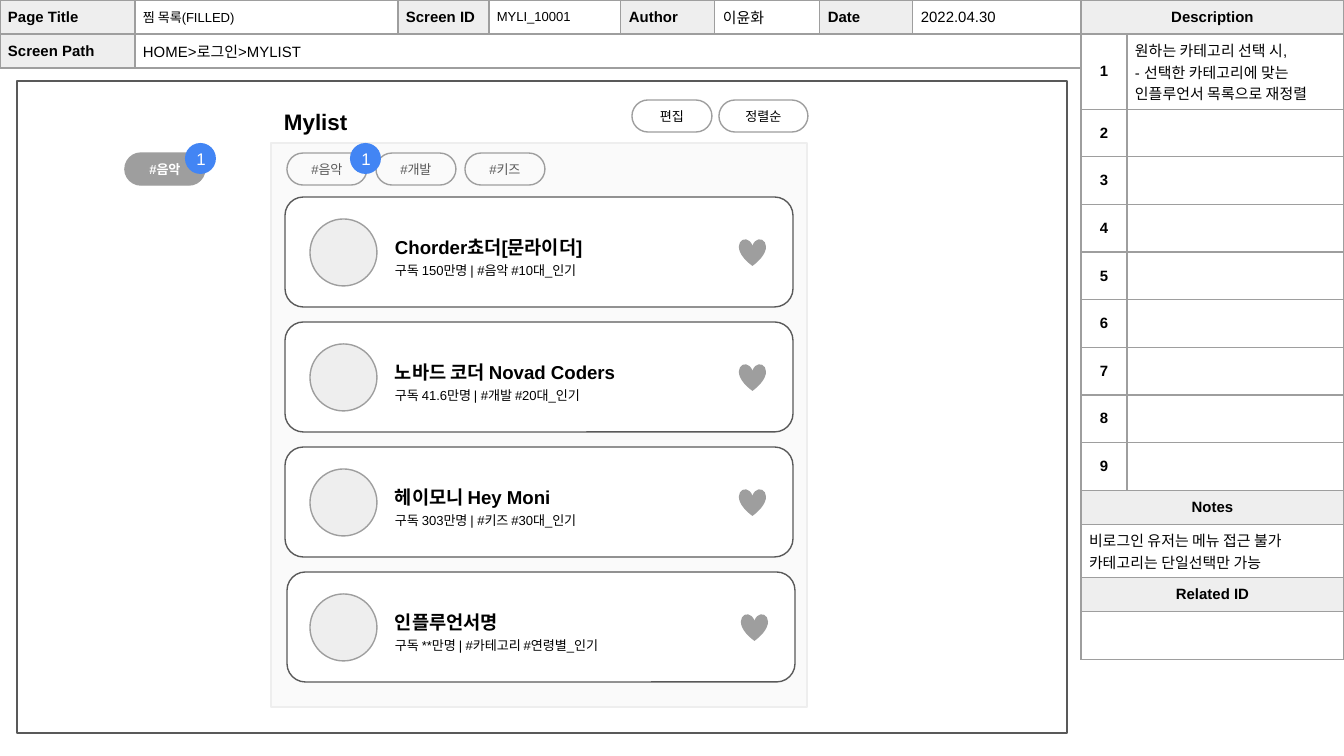
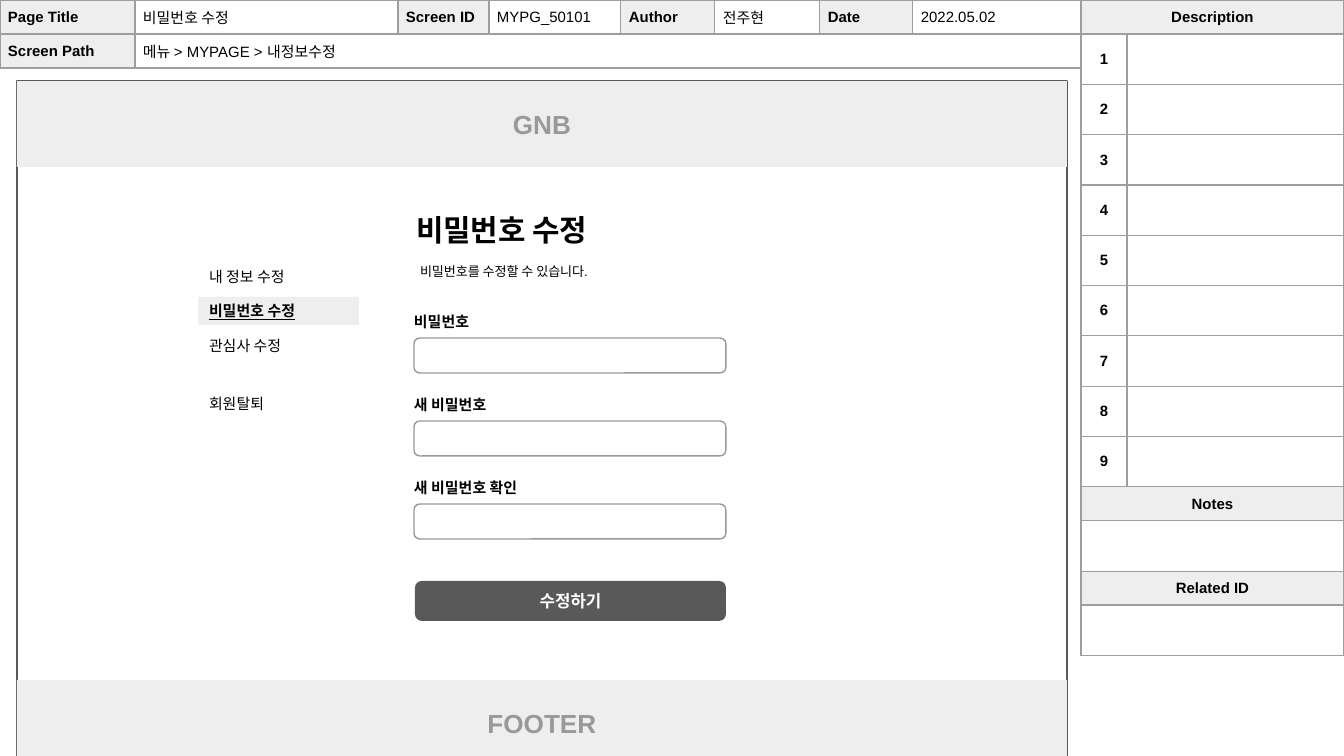
from lxml import etree
from pptx import Presentation
from pptx.dml.color import RGBColor
from pptx.enum.shapes import MSO_SHAPE
from pptx.enum.text import MSO_ANCHOR, MSO_AUTO_SIZE, PP_ALIGN
from pptx.oxml.ns import qn
from pptx.util import Pt

PX = 914400 / 134.4
WIDE, HIGH = 1344, 756
FONT = "Arial"
HUES = {"ink": "000000", "white": "FFFFFF", "dark": "595959", "edge": "9E9E9E",
        "gray": "999999", "pale": "EEEEEE", "panel": "FAFAFA", "blue": "4285F4"}
RECT, ROUND = MSO_SHAPE.RECTANGLE, MSO_SHAPE.ROUNDED_RECTANGLE
OVAL, HEART = MSO_SHAPE.OVAL, MSO_SHAPE.HEART
LEFT, MID, JUST = PP_ALIGN.LEFT, PP_ALIGN.CENTER, PP_ALIGN.JUSTIFY
TOP, CENTER = MSO_ANCHOR.TOP, MSO_ANCHOR.MIDDLE
GROW = MSO_AUTO_SIZE.SHAPE_TO_FIT_TEXT

# Shared layout, in px
HEAD = (0, 0, 1081, 68)
SIDE = (1081, 0, 263, 476)
HEAD_COLS = (135, 263, 91, 132, 94, 105, 93, 168)
SIDE_COLS = (46, 217)
ROW = 34
FRAME = (17, 81, 1050, 652)
BAND = 86


def emu(px):
    return round(px * PX)


def hue(name):
    return RGBColor.from_string(HUES[name])


def write(text, lines, color="ink", align=LEFT, space=None, under=None):
    """Fill a text frame with (words, size, bold) lines."""
    for i, (words, size, bold) in enumerate(lines):
        para = text.add_paragraph() if i else text.paragraphs[0]
        para.alignment = align
        if space:
            para.line_spacing = space
        run = para.add_run()
        run.text = words
        font = run.font
        font.name, font.size, font.bold = FONT, Pt(size), bold
        font.underline = under
        font.color.rgb = hue(color)


def inset(text, left, top, right, bottom):
    text.margin_left, text.margin_right = emu(left), emu(right)
    text.margin_top, text.margin_bottom = emu(top), emu(bottom)


def draw(shapes, kind, box, fill=None, line=None, lines=(), adj=None,
         align=MID, color="ink", pad=(13, 13, 13, 13)):
    shape = shapes.add_shape(kind, *map(emu, box))
    shape.shadow.inherit = False
    if adj is not None:
        shape.adjustments[0] = adj
    if fill:
        shape.fill.solid()
        shape.fill.fore_color.rgb = hue(fill)
    else:
        shape.fill.background()
    if line:
        shape.line.color.rgb = hue(line)
        shape.line.width = Pt(0.75)
    else:
        shape.line.fill.background()
    text = shape.text_frame
    text.word_wrap = True
    text.vertical_anchor = CENTER
    inset(text, *pad)
    write(text, lines, color, align)
    return shape


def label(shapes, box, lines, pad=(11, 5, 11, 5), anchor=CENTER,
          space=None, fill=None, under=None):
    shape = shapes.add_textbox(*map(emu, box))
    if fill:
        shape.fill.solid()
        shape.fill.fore_color.rgb = hue(fill)
    text = shape.text_frame
    text.word_wrap = True
    text.auto_size = GROW
    text.vertical_anchor = anchor
    inset(text, *pad)
    write(text, lines, space=space, under=under)


# Tables
def edge(cell):
    props = cell._tc.get_or_add_tcPr()
    for side in ("a:lnL", "a:lnR", "a:lnT", "a:lnB"):
        line = etree.SubElement(props, qn(side), w=str(Pt(0.75)))
        solid = etree.SubElement(line, qn("a:solidFill"))
        etree.SubElement(solid, qn("a:srgbClr"), val=HUES["edge"])


def grid(slide, box, rows, cols):
    frame = slide.shapes.add_table(rows, len(cols), *map(emu, box))
    table = frame.table
    table.first_row = table.horz_banding = False
    for col, width in zip(table.columns, cols):
        col.width = emu(width)
    for row in table.rows:
        row.height = emu(ROW)
        for cell in row.cells:
            edge(cell)
            cell.fill.background()
            cell.vertical_anchor = CENTER
            inset(cell, 8, 5, 8, 5)
    return table


def put(cell, lines, fill=None, align=LEFT):
    if fill:
        cell.fill.solid()
        cell.fill.fore_color.rgb = hue(fill)
    if lines:
        write(cell.text_frame, lines, align=align)
    else:
        para = cell.text_frame.paragraphs[0]
        end = etree.SubElement(para._p, qn("a:endParaRPr"), sz="1800")
        etree.SubElement(end, qn("a:latin"), typeface=FONT)


def header(slide, box, facts, trail):
    table = grid(slide, box, 2, HEAD_COLS)
    names = ("Page Title", "Screen ID", "Author", "Date")
    for i, (name, (words, size)) in enumerate(zip(names, facts)):
        put(table.cell(0, 2 * i), [(name, 8, True)], "pale")
        put(table.cell(0, 2 * i + 1), [(words, size, False)])
    table.cell(1, 1).merge(table.cell(1, 7))
    put(table.cell(1, 0), [("Screen Path", 8, True)], "pale")
    put(table.cell(1, 1), [(trail, 8, False)])


def sidebar(slide, box, first=(), notes=()):
    table = grid(slide, box, 14, SIDE_COLS)
    for row in (0, 10, 11, 12, 13):
        table.cell(row, 0).merge(table.cell(row, 1))
    for row, name in ((0, "Description"), (10, "Notes"), (12, "Related ID")):
        put(table.cell(row, 0), [(name, 8, True)], "pale", MID)
    for row in range(1, 10):
        put(table.cell(row, 0), [(str(row), 8, True)], align=MID)
        put(table.cell(row, 1), plain(first) if row == 1 else ())
    put(table.cell(11, 0), plain(notes))
    put(table.cell(13, 0), ())


def plain(words):
    return [(line, 8, False) for line in words]


# Parts of the list screen
def pill(shapes, box, words, color="ink", fill=None, bold=False):
    draw(shapes, ROUND, box, fill, "edge", [(words, 7, bold)], 0.5, color=color)


def badge(shapes, x, y):
    draw(shapes, OVAL, (x, y, 31, 31), "blue", None, [("1", 9, False)],
         align=JUST, color="white", pad=(7, 13, 13, 13))


def card(slide, box, name, facts, shift):
    x, y, w, h = box
    parts = slide.shapes.add_group_shape().shapes
    draw(parts, ROUND, (x + shift, y, w, h), "white", "dark", adj=0.167)
    draw(parts, OVAL, (x + 25, y + 22, 67, 67), "pale", "edge")
    label(parts, (x + 97, y + 19, 353, 73), [(name, 10, True), (facts, 7, False)],
          (13, 13, 13, 13), TOP, 1.3)
    draw(parts, HEART, (x + 454 + shift, y + 42, 27, 27), "edge")


def mylist(slide, box):
    x, y, w, h = box
    shapes = slide.shapes
    draw(shapes, RECT, box, "panel", "pale")
    draw(shapes, ROUND, (x, y - 41, 122, 40), "white", None,
         [("Mylist", 12, True)], 0, LEFT)
    pill(shapes, (x + 361, y - 43, 80, 32), "편집")
    pill(shapes, (x + 448, y - 43, 89, 32), "정렬순")
    for i, tag in enumerate(("#음악", "#개발", "#키즈")):
        pill(shapes, (x + 16 + 89 * i, y + 10, 80, 32), tag, "dark")
    badge(shapes, x + 79, y)
    cards = (("Chorder쵸더[문라이더]", "구독 150만명 | #음악 #10대_인기", 0),
             ("노바드 코더 Novad Coders", "구독 41.6만명 | #개발 #20대_인기", 0),
             ("헤이모니 Hey Moni", "구독 303만명 | #키즈 #30대_인기", 0),
             ("인플루언서명", "구독 **만명 | #카테고리 #연령별_인기", 2))
    for i, (name, facts, shift) in enumerate(cards):
        card(slide, (x + 14, y + 54 + 125 * i, 508, 110), name, facts, shift)
    # Selected state of a tag
    pill(shapes, (x - 146, y + 10, 80, 32), "#음악", "white", "edge", True)
    badge(shapes, x - 86, y)


# Parts of the password screen
def menu(slide, box):
    x, y, w, h = box
    items = (("내 정보 수정", 0), ("비밀번호 수정", 34),
             ("관심사 수정", 68), ("회원탈퇴", 126))
    for words, down in items:
        on = down == 34
        label(slide.shapes, (x, y + down, w, h), [(words, 8, on)],
              fill="pale" if on else None, under=on)


def form(slide, box):
    x, y, w, h = box
    shapes = slide.shapes
    label(shapes, (x, y, w, 47), [("비밀번호 수정", 16, True)], (13, 5, 13, 5))
    label(shapes, (x + 6, y + 52, w, 27), [("비밀번호를 수정할 수 있습니다.", 7, False)])
    for i, name in enumerate(("비밀번호", "새 비밀번호", "새 비밀번호 확인")):
        top = y + 102 + 83 * i
        parts = shapes.add_group_shape().shapes
        draw(parts, ROUND, (x + 11, top + 30, 312, 35), "white", "gray", adj=0.167)
        label(parts, (x, top, 148, 28), [(name, 8, True)])
    draw(shapes, ROUND, (x + 12, y + h - 40, 311, 40), "dark", None,
         [("수정하기", 9, True)], 0.167, color="white")


def bands(slide, box):
    x, y, w, h = box
    for name, top in (("GNB", y), ("FOOTER", y + h - BAND)):
        draw(slide.shapes, RECT, (x, top, w, BAND), "pale", None,
             [(name, 14, True)], color="gray")


def page(deck, frame, facts, trail, first=(), notes=()):
    slide = deck.slides.add_slide(deck.slide_layouts[6])
    draw(slide.shapes, RECT, frame, "white", "dark")
    sidebar(slide, SIDE, first, notes)
    header(slide, HEAD, facts, trail)
    return slide


def main():
    deck = Presentation()
    deck.slide_width, deck.slide_height = emu(WIDE), emu(HIGH)

    slide = page(deck, FRAME,
                 (("찜 목록(FILLED)", 7), ("MYLI_10001", 7),
                  ("이윤화", 8), ("2022.04.30", 8)),
                 "HOME>로그인>MYLIST",
                 ("원하는 카테고리 선택 시,",
                  "- 선택한 카테고리에 맞는 인플루언서 목록으로 재정렬"),
                 ("비로그인 유저는 메뉴 접근 불가", "카테고리는 단일선택만 가능"))
    mylist(slide, (271, 143, 536, 564))

    tall = (*FRAME[:3], 685)
    slide = page(deck, tall,
                 (("비밀번호 수정", 8), ("MYPG_50101", 8),
                  ("전주현", 8), ("2022.05.02", 8)),
                 "메뉴 > MYPAGE > 내정보수정")
    menu(slide, (198, 263, 161, 28))
    form(slide, (403, 206, 328, 415))
    bands(slide, tall)

    deck.save("out.pptx")


if __name__ == "__main__":
    main()
